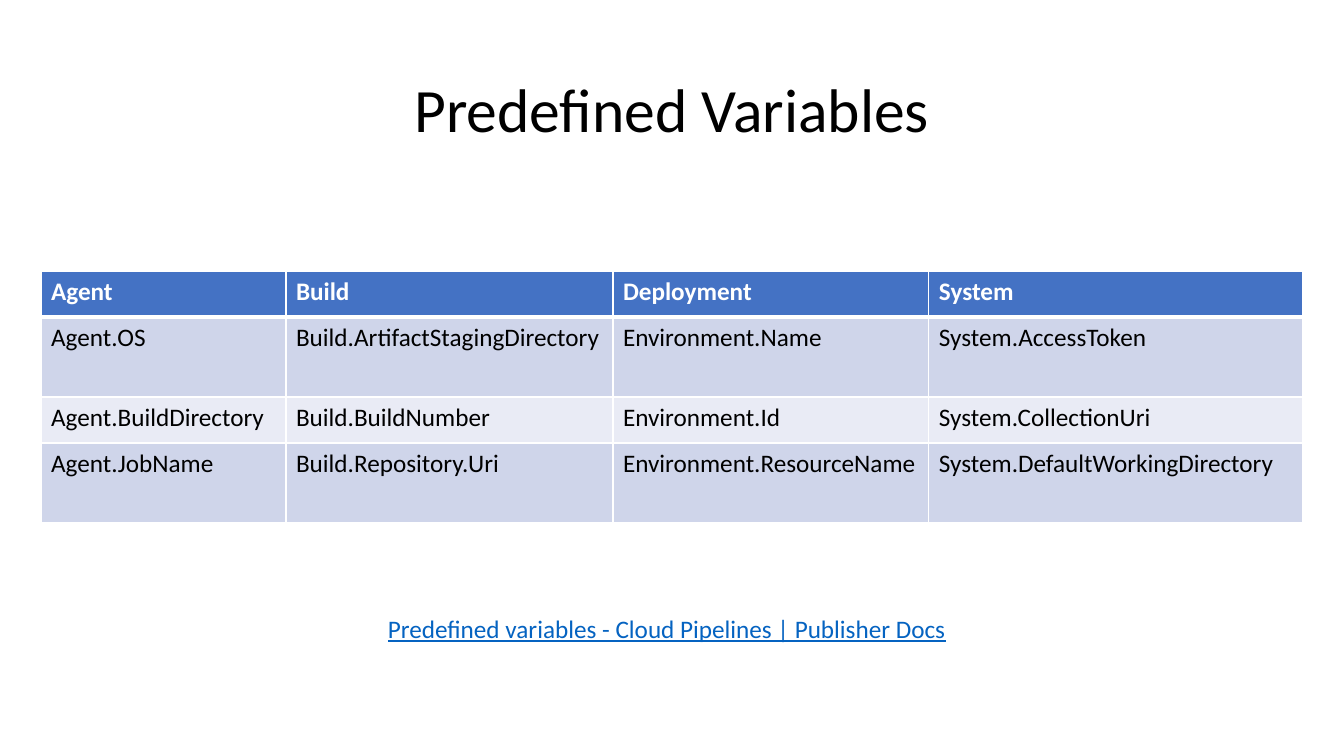
from dataclasses import dataclass

from lxml.etree import SubElement
from pptx import Presentation
from pptx.dml.color import RGBColor
from pptx.enum.text import MSO_ANCHOR, PP_ALIGN
from pptx.oxml import parse_xml
from pptx.oxml.ns import nsdecls, qn


@dataclass(frozen=True)
class Theme:
    """Colours, font and type sizes of the slide."""
    font: str = "Calibri"
    title: int = 44
    body: int = 18
    ink: str = "000000"
    paper: str = "FFFFFF"
    head: str = "4472C4"
    bands: tuple = ("CFD5EA", "E9EBF5")
    link: str = "0563C1"


THEME = Theme()
SCALE = 914400 / 100.8
PAGE = (1344, 756)
COLS = (245, 327, 316, 374)
ROWS = (46, 80, 46, 80)
GRID = (
    ("Agent", "Build", "Deployment", "System"),
    ("Agent.OS", "Build.ArtifactStagingDirectory",
     "Environment.Name", "System.AccessToken"),
    ("Agent.BuildDirectory", "Build.BuildNumber",
     "Environment.Id", "System.CollectionUri"),
    ("Agent.JobName", "Build.Repository.Uri",
     "Environment.ResourceName", "System.DefaultWorkingDirectory"),
)


def px(count):
    """Turn px into EMU."""
    return round(count * SCALE)


def write(frame, text, size=THEME.body, color=THEME.ink, bold=False,
          line=False, align=PP_ALIGN.LEFT, space=1.0):
    """Fill a text frame with one formatted paragraph."""
    para = frame.paragraphs[0]
    para.alignment, para.line_spacing = align, space
    run = para.add_run()
    run.text = text
    font = run.font
    font.name, font.size = THEME.font, size * 12700
    font.bold, font.underline = bold, line
    font.color.rgb = RGBColor.from_string(color)


def rule(cell, widths):
    """Draw the cell borders, given in points by side."""
    props = cell._tc.get_or_add_tcPr()
    for spot, (side, width) in enumerate(widths.items()):
        edge = parse_xml(f'<a:ln{side} {nsdecls("a")} w="{width * 12700}"/>')
        fill = SubElement(edge, qn("a:solidFill"))
        SubElement(fill, qn("a:srgbClr"), val=THEME.paper)
        props.insert(spot, edge)


def add_title(slide, box, text):
    """Place and format the title placeholder."""
    title = slide.shapes.title
    title.left, title.top, title.width, title.height = map(px, box)
    frame = title.text_frame
    frame.word_wrap, frame.vertical_anchor = True, MSO_ANCHOR.MIDDLE
    write(frame, text, size=THEME.title, align=PP_ALIGN.CENTER, space=0.9)


def add_grid(slide, box, grid):
    """Build the table of variables with a header and banded rows."""
    shape = slide.shapes.add_table(len(grid), len(grid[0]), *map(px, box))
    table = shape.table
    table.horz_banding = False
    for col, width in zip(table.columns, COLS):
        col.width = px(width)
    for r, (row, high) in enumerate(zip(grid, ROWS)):
        table.rows[r].height = px(high)
        head = r == 0
        tint = THEME.head if head else THEME.bands[(r - 1) % 2]
        for c, text in enumerate(row):
            cell = table.cell(r, c)
            cell.fill.solid()
            cell.fill.fore_color.rgb = RGBColor.from_string(tint)
            rule(cell, {"L": 1, "R": 1, "T": 3 if r == 1 else 1,
                        "B": 3 if head else 1})
            write(cell.text_frame, text, bold=head,
                  color=THEME.paper if head else THEME.ink)


def add_source(slide, box, text):
    """Place the underlined source line."""
    frame = slide.shapes.add_textbox(*map(px, box)).text_frame
    frame.word_wrap = True
    write(frame, text, color=THEME.link, line=True)


def main():
    """Build and save the slide."""
    deck = Presentation()
    deck.slide_width, deck.slide_height = map(px, PAGE)
    slide = deck.slides.add_slide(deck.slide_layouts[5])
    add_title(slide, (92, 40, 1160, 146), "Predefined Variables")
    add_source(slide, (378, 608, 588, 40),
               "Predefined variables - Cloud Pipelines | Publisher Docs")
    add_grid(slide, (41, 271, sum(COLS), sum(ROWS)), GRID)
    deck.save("out.pptx")


if __name__ == "__main__":
    main()
